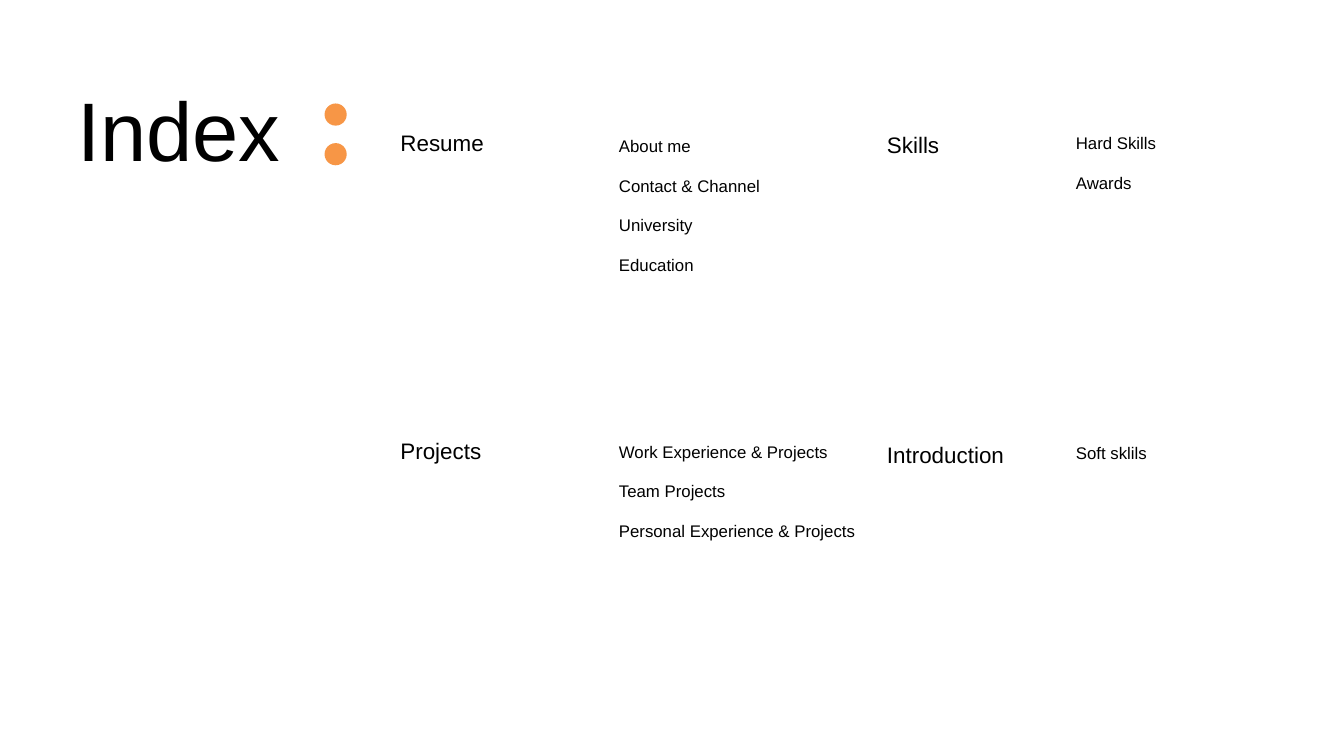
import dataclasses

import pptx
import pptx.dml.color
import pptx.enum.shapes
import pptx.enum.text
import pptx.util
import lxml.etree

Inches = pptx.util.Inches


@dataclasses.dataclass(frozen=True)
class Theme:
    font: str = "Arial"
    ink: str = "000000"
    accent: str = "F79646"
    title_size: int = 89
    heading_size: int = 24
    entry_size: int = 18
    entry_gap: float = 20.8


THEME = Theme()
SLIDE_W, SLIDE_H = 20, 11.25

# Columns of headings and entry lists, and the two rows of sections
HEADING_COLUMNS = (5.86, 13.1)
ENTRY_COLUMNS = (9.11, 15.91)
ENTRY_WIDTHS = (3.81, 2.64)
HEADING_W, HEADING_H = 3.68, 0.5
ROWS = (1.87, 6.45)

# (row, column, heading, heading drop, entries, entry drop)
SECTIONS = (
    (0, 0, "Resume", 0, ("About me", "Contact & Channel", "University", "Education"), 0.1),
    (1, 0, "Projects", 0, ("Work Experience & Projects", "Team Projects",
                           "Personal Experience & Projects"), 0.07),
    (0, 1, "Skills", 0.03, ("Hard Skills", "Awards"), 0.06),
    (1, 1, "Introduction", 0.06, ("Soft sklils",), 0.09),
)


def place(shape, left, top, width, height):
    shape.left, shape.top = Inches(left), Inches(top)
    shape.width, shape.height = Inches(width), Inches(height)


def write_lines(shape, lines, size, gap=0.0, inset_top=0.05):
    """Write plain, left-aligned lines from the top of the shape."""
    frame = shape.text_frame
    frame.word_wrap = True
    frame.auto_size = pptx.enum.text.MSO_AUTO_SIZE.NONE
    frame.vertical_anchor = pptx.enum.text.MSO_ANCHOR.TOP
    frame.margin_left = frame.margin_right = Inches(0.1)
    frame.margin_top, frame.margin_bottom = Inches(inset_top), Inches(0.05)
    for number, line in enumerate(lines):
        paragraph = frame.add_paragraph() if number else frame.paragraphs[0]
        properties = paragraph._p.get_or_add_pPr()
        properties.set("marL", "0")
        properties.set("indent", "0")
        paragraph.alignment = pptx.enum.text.PP_ALIGN.LEFT
        paragraph.space_before = pptx.util.Pt(gap if number else 0)
        lxml.etree.SubElement(properties, pptx.oxml.ns.qn("a:buNone"))
        run = paragraph.add_run()
        run.text = line
        run.font.name = THEME.font
        run.font.size = pptx.util.Pt(size)
        run.font.bold = False
        run.font.color.rgb = pptx.dml.color.RGBColor.from_string(THEME.ink)


def add_title(slide, left, top, width, height):
    title = slide.shapes.title
    place(title, left, top, width, height)
    write_lines(title, ["Index"], THEME.title_size, inset_top=0.18)


def add_colon(slide, left, top, width, height):
    """Two dots, one at each end of the box."""
    colon = slide.shapes.add_group_shape()
    for dot_top in (top, top + height - width):
        dot = colon.shapes.add_shape(
            pptx.enum.shapes.MSO_SHAPE.OVAL,
            Inches(left), Inches(dot_top), Inches(width), Inches(width))
        dot.shadow.inherit = False
        dot.fill.solid()
        dot.fill.fore_color.rgb = pptx.dml.color.RGBColor.from_string(THEME.accent)
        dot.line.fill.background()


def add_section(slide, body, section):
    row, column, heading, heading_drop, entries, entry_drop = section
    top = ROWS[row]
    heading_box = slide.shapes.add_textbox(0, 0, 0, 0)
    place(heading_box, HEADING_COLUMNS[column], top + heading_drop, HEADING_W, HEADING_H)
    write_lines(heading_box, [heading], THEME.heading_size)

    place(body, ENTRY_COLUMNS[column], top + entry_drop,
          ENTRY_WIDTHS[column], 0.4 + 0.58 * (len(entries) - 1))
    write_lines(body, entries, THEME.entry_size, THEME.entry_gap)


def main():
    deck = pptx.Presentation()
    deck.slide_width, deck.slide_height = Inches(SLIDE_W), Inches(SLIDE_H)
    # The Comparison layout has a title and four bodies, one for each section
    slide = deck.slides.add_slide(deck.slide_layouts.get_by_name("Comparison"))
    bodies = [holder for holder in slide.placeholders
              if holder.placeholder_format.idx in range(1, 5)]

    add_title(slide, 1.05, 0.99, 5.92, 2.21)
    add_colon(slide, 4.83, 1.54, 0.33, 0.92)
    for body, section in zip(bodies, SECTIONS):
        add_section(slide, body, section)
    deck.save("out.pptx")


if __name__ == "__main__":
    main()
